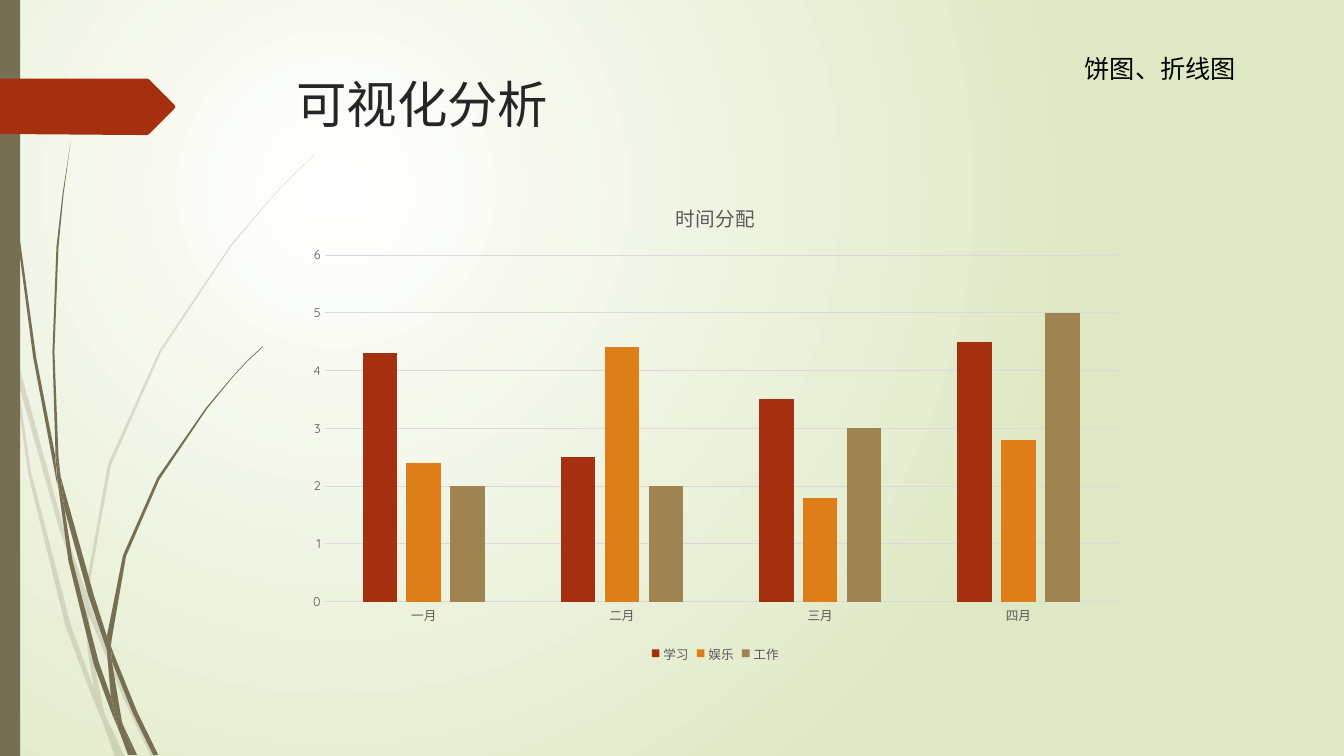
from dataclasses import dataclass

from pptx import Presentation
from pptx.chart.chart import Chart
from pptx.chart.data import CategoryChartData
from pptx.dml.color import RGBColor
from pptx.enum.chart import XL_CHART_TYPE, XL_LEGEND_POSITION, XL_TICK_MARK
from pptx.enum.lang import MSO_LANGUAGE_ID
from pptx.enum.shapes import MSO_SHAPE
from pptx.enum.text import MSO_ANCHOR
from pptx.oxml import parse_xml
from pptx.oxml.ns import nsdecls, qn
from pptx.shapes.base import BaseShape
from pptx.slide import Slide
from pptx.text.text import Font
from pptx.util import Inches, Pt

# The slide is a fine grid of 1333 columns by 750 rows
COLUMNS, ROWS = 1333, 750
WIDTH, HEIGHT = Inches(13.33), Inches(7.5)


@dataclass(frozen=True)
class Theme:
    font: str = "Quicksand"
    glow: str = "FFFFFF"
    backdrop: str = "DFE8C4"
    olive: str = "766F54"
    red: str = "A53010"
    orange: str = "DE7E18"
    tan: str = "9F8351"
    heading: str = "262626"
    black: str = "000000"
    label: str = "595959"
    grid: str = "D9D9D9"
    title_size: float = 36
    note_size: float = 18
    chart_title_size: float = 14
    chart_size: float = 10
    label_size: float = 9
    grid_width: float = 0.75


THEME = Theme()


@dataclass(frozen=True)
class Box:
    col: float
    row: float
    cols: float
    rows: float

    def emu(self) -> tuple[int, int, int, int]:
        return (*to_emu(self.col, self.row), *to_emu(self.cols, self.rows))


@dataclass(frozen=True)
class Label:
    text: str
    box: Box
    size: float
    color: str


@dataclass(frozen=True)
class Series:
    name: str
    values: tuple[float, ...]
    color: str


@dataclass(frozen=True)
class Plant:
    opacity: int
    outlines: tuple[str, ...]


# Outlines are "column,row" corners
PALE_PLANT = Plant(20, (
    "11,350 9,322 0,282 0,299 10,344",
    "58,522 84,599 85,586 62,520 14,345 17,376",
    "92,607 88,596 88,610 123,694 150,751 155,751 127,692",
    "119,751 124,751 105,711",
    "93,683 70,619 31,469 17,376 11,350 28,470 65,621 92,693 101,714 99,707",
    "84,599 87,646 93,683 96,692 105,711 103,706 91,646 88,610 88,608",
    "88,584 110,462 160,349 229,245 268,198 290,175 312,154 312,153 289,175 268,197 228,244 158,348 107,461"
    " 85,584 85,586 88,596",
    "101,714 114,751 119,751",
    "88,608 88,610 88,596 85,586 84,599",
    "96,692 93,683 99,707 101,714 119,751 105,711",
))
DARK_PLANT = Plant(100, (
    "7,110 17,233 33,355 56,477 57,481 55,457 55,453 36,355 19,232 8,109 5,48 4,0 3,0 4,48",
    "88,592 106,645 106,633 106,631 93,590 60,472 64,505",
    "113,649 110,641 111,656 132,708 152,749 157,749 136,706",
    "110,691 98,657 72,556 64,505 57,477 68,557 93,659 111,708 117,722 116,717",
    "60,472 58,453 54,349 58,245 63,193 70,141 62,193 56,245 52,349 55,449",
    "133,749 136,749 122,719",
    "57,477 64,505 60,472 55,449 55,453",
    "111,633 125,552 158,476 205,406 231,374 245,359 261,344 260,344 245,358 231,373 204,405 156,474 122,551"
    " 106,631 110,641",
    "117,722 127,749 131,749",
    "106,645 110,691 116,706 122,719 121,716 111,656 109,651",
    "106,645 109,651 111,656 110,641 106,631 106,633",
    "116,706 110,691 116,717 117,722 130,749 133,749 122,719",
))
TAB_OUTLINE = "173,108 148,133 146,134 136,134 0,133 0,78 136,78 146,78 148,79 173,104 174,106"
SIDE_BAR = Box(0, 0, 20, 750)
CHART_BOX = Box(294, 181, 831, 480)
LABELS = (
    Label("可视化分析", Box(284, 68, 975, 140), THEME.title_size, THEME.heading),
    Label("饼图、折线图", Box(1066, 48, 219, 40), THEME.note_size, THEME.black),
)
MONTHS = ("一月", "二月", "三月", "四月")
SERIES = (
    Series("学习", (4.3, 2.5, 3.5, 4.5), THEME.red),
    Series("娱乐", (2.4, 4.4, 1.8, 2.8), THEME.orange),
    Series("工作", (2, 2, 3, 5), THEME.tan),
)


def to_emu(col: float, row: float) -> tuple[int, int]:
    return round(WIDTH * col / COLUMNS), round(HEIGHT * row / ROWS)


def paint(sp: BaseShape, color: str, opacity: int = 100) -> None:
    sp.shadow.inherit = False
    sp.line.fill.background()
    sp.fill.solid()
    sp.fill.fore_color.rgb = RGBColor.from_string(color)
    if opacity < 100:
        alpha = parse_xml(f'<a:alpha {nsdecls("a")} val="{opacity * 1000}"/>')
        sp.element.spPr.find(qn("a:solidFill"))[0].append(alpha)


def draw_outline(shapes, outline: str, color: str, opacity: int = 100) -> None:
    start, *rest = [to_emu(*map(int, corner.split(","))) for corner in outline.split()]
    builder = shapes.build_freeform(*start)
    builder.add_line_segments(rest, close=True)
    paint(builder.convert_to_shape(), color, opacity)


def style_font(font: Font, size: float, color: str) -> None:
    font.name, font.size, font.bold = THEME.font, Pt(size), False
    font.color.rgb = RGBColor.from_string(color)


def draw_label(s: Slide, label: Label) -> None:
    tf = s.shapes.add_textbox(*label.box.emu()).text_frame
    tf.word_wrap = True
    tf.vertical_anchor = MSO_ANCHOR.TOP
    tf.text = label.text
    font = tf.paragraphs[0].runs[0].font
    style_font(font, label.size, label.color)
    font.language_id = MSO_LANGUAGE_ID.SIMPLIFIED_CHINESE


def draw_background(s: Slide) -> None:
    fill = s.background.fill
    fill.gradient()
    for stop, color in zip(fill.gradient_stops, (THEME.glow, THEME.backdrop)):
        stop.color.rgb = RGBColor.from_string(color)
    grad = s.element.find(".//" + qn("a:gradFill"))
    grad.replace(grad.find(qn("a:lin")), parse_xml(
        f'<a:path {nsdecls("a")} path="circle"><a:fillToRect l="50000" t="50000" r="100000" b="100000"/></a:path>'))


def style_axes(chart: Chart) -> None:
    for axis in (chart.category_axis, chart.value_axis):
        axis.major_tick_mark = axis.minor_tick_mark = XL_TICK_MARK.NONE
        style_font(axis.tick_labels.font, THEME.label_size, THEME.label)
    values = chart.value_axis
    values.minimum_scale, values.maximum_scale, values.major_unit = 0, 6, 1
    values.format.line.fill.background()
    for line in (chart.category_axis.format.line, values.major_gridlines.format.line):
        line.color.rgb = RGBColor.from_string(THEME.grid)
        line.width = Pt(THEME.grid_width)


def draw_chart(s: Slide) -> None:
    data = CategoryChartData()
    data.categories = MONTHS
    for series in SERIES:
        data.add_series(series.name, series.values)
    chart = s.shapes.add_chart(XL_CHART_TYPE.COLUMN_CLUSTERED, *CHART_BOX.emu(), data).chart
    style_font(chart.font, THEME.chart_size, THEME.black)
    tf = chart.chart_title.text_frame
    tf.text = "时间分配"
    style_font(tf.paragraphs[0].runs[0].font, THEME.chart_title_size, THEME.label)
    chart.chart_title.include_in_layout = False
    chart.has_legend = True
    chart.legend.position = XL_LEGEND_POSITION.BOTTOM
    chart.legend.include_in_layout = False
    style_font(chart.legend.font, THEME.label_size, THEME.label)
    style_axes(chart)
    plot = chart.plots[0]
    plot.gap_width, plot.overlap, plot.vary_by_categories = 219, -27, False
    for bars, series in zip(plot.series, SERIES):
        bars.format.fill.solid()
        bars.format.fill.fore_color.rgb = RGBColor.from_string(series.color)


def main() -> None:
    prs = Presentation()
    prs.slide_width, prs.slide_height = WIDTH, HEIGHT
    s = prs.slides.add_slide(prs.slide_layouts[6])
    draw_background(s)
    # Grass stems, side bar and arrow tab
    for plant in (PALE_PLANT, DARK_PLANT):
        group = s.shapes.add_group_shape()
        for outline in plant.outlines:
            draw_outline(group.shapes, outline, THEME.olive, plant.opacity)
    paint(s.shapes.add_shape(MSO_SHAPE.RECTANGLE, *SIDE_BAR.emu()), THEME.olive)
    draw_outline(s.shapes, TAB_OUTLINE, THEME.red)
    # Content
    draw_chart(s)
    for label in LABELS:
        draw_label(s, label)
    prs.save("out.pptx")


if __name__ == "__main__":
    main()
